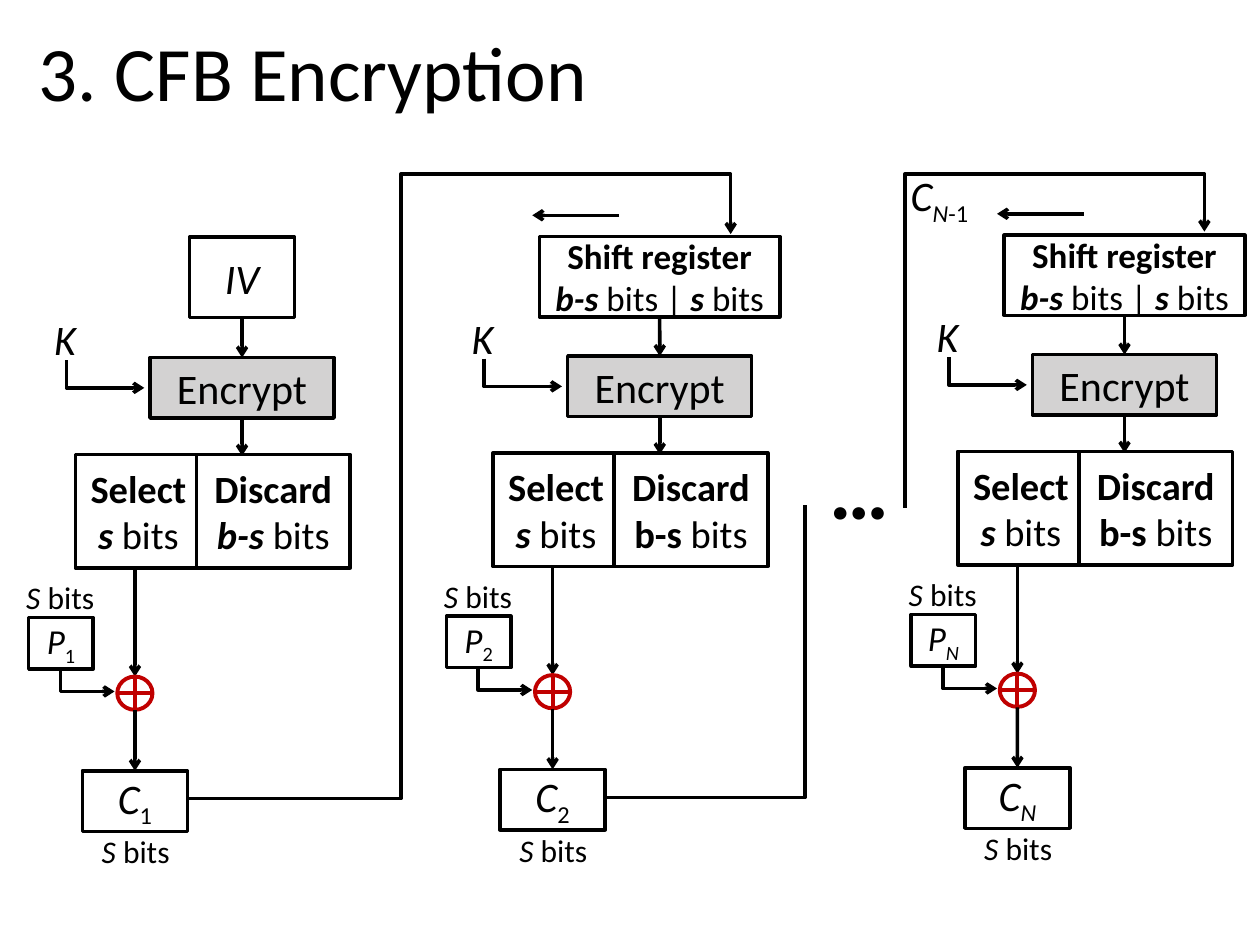
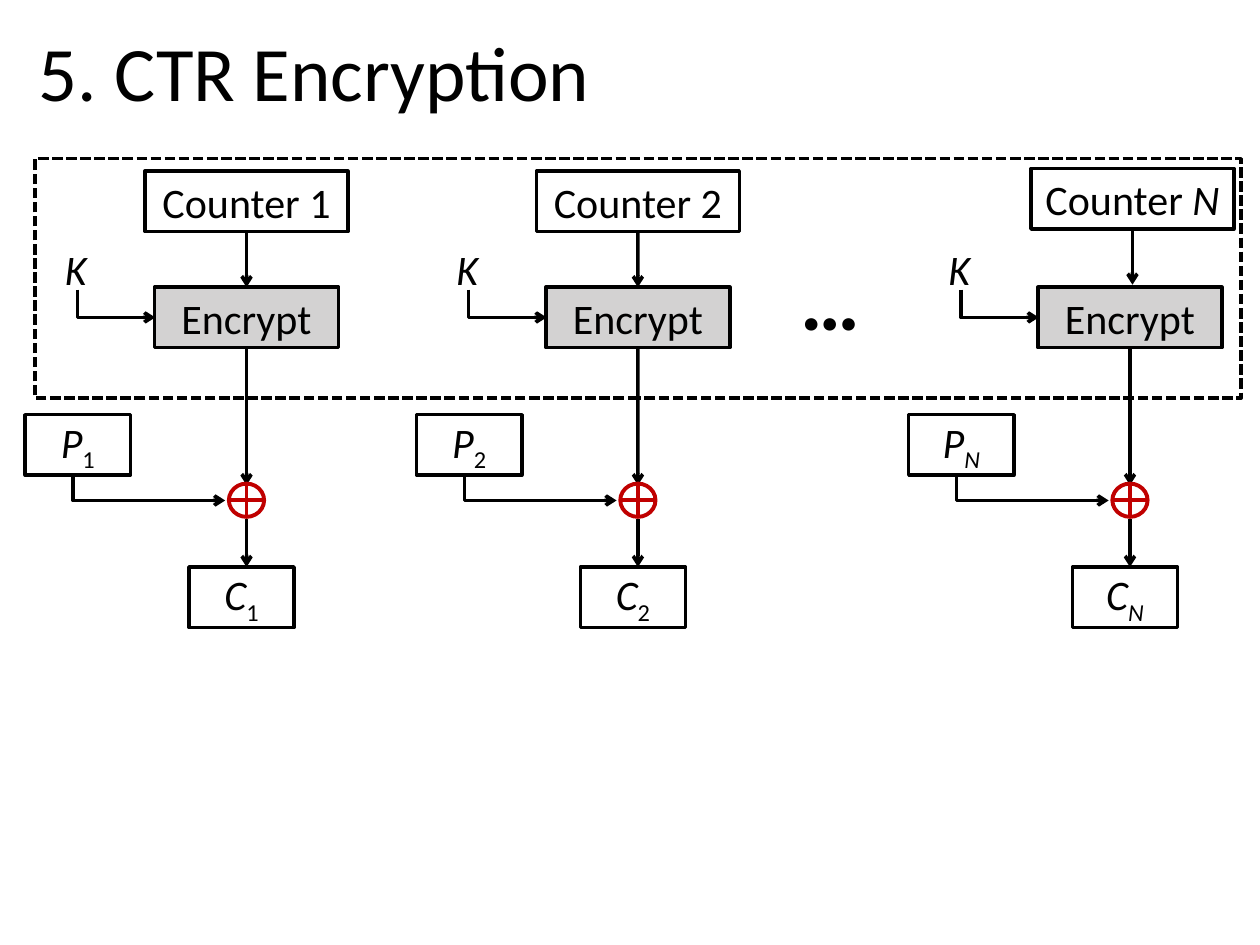
from dataclasses import dataclass
from typing import NamedTuple, Optional

from lxml.etree import SubElement
from pptx import Presentation
from pptx.dml.color import RGBColor
from pptx.enum.dml import MSO_LINE_DASH_STYLE as Dash
from pptx.enum.shapes import MSO_CONNECTOR as Link, MSO_SHAPE as Preset
from pptx.enum.text import MSO_ANCHOR as Anchor, MSO_AUTO_SIZE as Fit, PP_ALIGN as Align
from pptx.oxml.ns import qn
from pptx.util import Cm, Pt


@dataclass(frozen=True)
class Theme:
    font: str = "Calibri"
    ink: RGBColor = RGBColor(0, 0, 0)
    paper: RGBColor = RGBColor(255, 255, 255)
    cipher: RGBColor = RGBColor(0xD3, 0xD2, 0xD2)
    xor: RGBColor = RGBColor(0xC0, 0, 0)
    line: float = 2
    xor_line: float = 2.25
    title: int = 44
    dots: int = 48
    large: int = 24
    half: int = 22
    medium: int = 20
    small: int = 18


THEME = Theme()


class Span(NamedTuple):
    text: str
    bold: bool = False
    italic: bool = False
    sub: bool = False


class Point(NamedTuple):
    x: float
    y: float


class Area(NamedTuple):
    """A rectangle in centimetres."""
    x: float
    y: float
    width: float
    height: float

    def lengths(self) -> list:
        return [Cm(value) for value in self]


@dataclass(frozen=True)
class Stage:
    """One block of the cipher, moved from the first one by dx and dy."""
    index: str
    dx: float
    dy: float = 0

    def at(self, x: float, y: float) -> Point:
        return Point(x + self.dx, y + self.dy)

    def area(self, x: float, y: float, width: float, height: float) -> Area:
        return Area(*self.at(x, y), width, height)

    def centred(self, middle: float, y: float, width: float, height: float) -> Area:
        return self.area(middle - width / 2, y, width, height)

    def symbol(self, letter: str) -> list[Span]:
        return indexed(letter, self.index)


def indexed(letter: str, index: str) -> list[Span]:
    return [Span(letter, italic=True), Span(index, italic=index == "N", sub=True)]


# Formatting
def apply(target, **values) -> None:
    for name, value in values.items():
        setattr(target, name, value)


def write(frame, spans: list[Span], size: int, align=Align.LEFT) -> None:
    para = frame.paragraphs[0]
    para.alignment = align
    for part in spans:
        span = para.add_run()
        span.text = part.text
        apply(span.font, name=THEME.font, size=Pt(size), bold=part.bold, italic=part.italic)
        span.font.color.rgb = THEME.ink
        if part.sub:
            span.font._element.set("baseline", "-25000")


def outline(shape, color: RGBColor = THEME.ink, width: float = THEME.line) -> None:
    shape.line.color.rgb = color
    shape.line.width = Pt(width)


def add_head(shape) -> None:
    line = shape.line._get_or_add_ln()
    SubElement(line, qn("a:tailEnd"), type="arrow")


# Drawing parts
def add_box(page, area: Area, spans: list[Span], size: int = THEME.large,
            fill: Optional[RGBColor] = THEME.paper):
    box = page.shapes.add_shape(Preset.RECTANGLE, *area.lengths())
    box.shadow.inherit = False
    outline(box)
    if fill is None:
        box.fill.background()
    else:
        box.fill.solid()
        box.fill.fore_color.rgb = fill
    apply(box.text_frame, word_wrap=True, vertical_anchor=Anchor.MIDDLE)
    write(box.text_frame, spans, size, Align.CENTER)
    return box


def add_label(page, area: Area, spans: list[Span], size: int) -> None:
    box = page.shapes.add_textbox(*area.lengths())
    apply(box.text_frame, word_wrap=False, auto_size=Fit.SHAPE_TO_FIT_TEXT)
    write(box.text_frame, spans, size)


def add_xor(page, area: Area) -> None:
    xor = page.shapes.add_shape(Preset.FLOWCHART_OR, *area.lengths())
    xor.shadow.inherit = False
    xor.fill.solid()
    xor.fill.fore_color.rgb = THEME.paper
    outline(xor, THEME.xor, THEME.xor_line)


def add_arrow(page, start: Point, end: Point, source=None, target=None) -> None:
    """Draw an arrow, joined to the bottom of source and the top of target."""
    arrow = page.shapes.add_connector(Link.STRAIGHT, *(Cm(v) for v in (*start, *end)))
    outline(arrow)
    add_head(arrow)
    SubElement(arrow._element.spPr, qn("a:effectLst"))
    if source is not None:
        arrow.begin_connect(source, 2)
    if target is not None:
        arrow.end_connect(target, 0)


def add_bend(page, points: list[Point], head: bool = True) -> None:
    first, *rest = [(Cm(point.x), Cm(point.y)) for point in points]
    builder = page.shapes.build_freeform(*first)
    builder.add_line_segments(rest, close=False)
    bend = builder.convert_to_shape()
    bend.shadow.inherit = False
    bend.fill.background()
    outline(bend)
    if head:
        add_head(bend)


def add_elbow(page, start: Point, right: float, down: float) -> None:
    low = start.y + down
    add_bend(page, [start, Point(start.x, low), Point(start.x + right, low)])


def add_key(page, corner: Point) -> None:
    add_elbow(page, Point(corner.x + 0.5, corner.y + 1.06), 1.57, 0.56)
    add_label(page, Area(*corner, 0.99, 1.27), [Span("K", italic=True)], THEME.large)


def add_dots(page, x: float, y: float) -> None:
    add_label(page, Area(x, y, 1.8, 2.31), [Span("…", bold=True)], THEME.dots)


def add_page(deck, title: str):
    page = deck.slides.add_slide(deck.slide_layouts[5])
    box = page.shapes.title
    apply(box, **dict(zip(("left", "top", "width", "height"),
                          Area(0.53, 0.3, 24.33, 2.24).lengths())))
    apply(box.text_frame, word_wrap=True, vertical_anchor=Anchor.MIDDLE)
    write(box.text_frame, [Span(title)], THEME.title)
    return page


# CFB: every stage feeds its cipher text into the next shift register
BITS = Span(" bits")
S_BITS = [Span("S ", italic=True), Span("bits")]
SHIFT = [Span("Shift register ", True), Span("b-s", True, True), Span(" bits | "),
         Span("s", True, True), BITS]


def draw_cfb_stage(page, stage: Stage) -> None:
    spine, out = 4.88, 2.72
    first = stage.dx == 0

    # Input and cipher
    if first:
        source = add_box(page, stage.centred(spine, 4.78, 2.12, 1.62), [Span("IV", italic=True)])
    else:
        source = add_box(page, stage.centred(spine, 4.8, 4.85, 1.62), SHIFT, THEME.medium)
        add_arrow(page, stage.at(4.06, 4.37), stage.at(2.31, 4.37))
    encrypt = add_box(page, stage.centred(spine, 7.21, 3.71, 1.22), [Span("Encrypt")],
                      fill=THEME.cipher)
    add_arrow(page, stage.at(spine, 6.4), stage.at(spine, 7.21), source, encrypt)
    add_key(page, stage.at(0.84, 6.2))

    # Selected and discarded bits
    add_box(page, stage.area(1.52, 9.16, 2.54, 2.29),
            [Span("Select ", True), Span("s", True, True), BITS], THEME.half)
    add_box(page, stage.area(3.96, 9.16, 3.1, 2.29),
            [Span("Discard ", True), Span("b-s", True, first), BITS], THEME.half)
    add_arrow(page, stage.at(spine, 8.43), stage.at(spine, 9.19), encrypt)

    # Plain text, XOR and cipher text
    add_arrow(page, stage.at(out, 11.48), stage.at(out, 13.64))
    add_box(page, stage.area(0.58, 12.45, 1.3, 1.04), stage.symbol("P"), THEME.medium)
    add_elbow(page, stage.at(1.22, 13.47), 1.09, 0.47)
    add_label(page, stage.area(0.28, 11.53, 1.91, 1.02), S_BITS, THEME.small)
    add_xor(page, stage.centred(out, 13.64, 0.71, 0.67))
    result = add_box(page, stage.centred(out, 15.54, 2.12, 1.22), stage.symbol("C"))
    add_arrow(page, stage.at(out, 14.32), stage.at(out, 15.54), target=result)
    add_label(page, stage.area(1.8, 16.65, 1.91, 1.02), S_BITS, THEME.small)


def draw_cfb(deck) -> None:
    page = add_page(deck, "3. CFB Encryption")
    for stage in (Stage("1", 0), Stage("2", 8.42, -0.03), Stage("N", 17.79, -0.06)):
        draw_cfb_stage(page, stage)

    # Feedback paths
    top = 3.51
    add_bend(page, [Point(3.77, 16.1), Point(8.08, 16.1), Point(8.08, top),
                    Point(14.73, top), Point(14.73, 4.72)])
    add_bend(page, [Point(12.2, 16.08), Point(16.23, 16.08), Point(16.23, 10.19)], head=False)
    add_bend(page, [Point(18.24, 10.24), Point(18.24, top), Point(24.28, top),
                    Point(24.28, 4.67)])
    add_dots(page, 16.48, 8.66)
    add_label(page, Area(18.11, 3.3, 1.8, 1.27),
              [*indexed("C", "N"), Span("-1", sub=True)], THEME.large)


# CTR: every stage encrypts its own counter
def draw_ctr_stage(page, stage: Stage) -> None:
    spine = 4.97
    last = stage.index == "N"
    nudge = 0.05 if last else 0

    # Counter and cipher
    counter = add_box(page, stage.centred(spine + nudge, 3.45 - nudge, 4.09, 1.22),
                      [Span("Counter "), Span(stage.index, italic=last)])
    encrypt = add_box(page, stage.centred(spine, 5.79, 3.71, 1.22), [Span("Encrypt")],
                      fill=THEME.cipher)
    add_arrow(page, stage.at(spine + nudge, 4.67), stage.at(spine + nudge, 5.79 - nudge),
              counter, None if last else encrypt)
    add_key(page, stage.at(1.06, 4.78))

    # Plain text, XOR and cipher text
    add_arrow(page, stage.at(spine, 7.01), stage.at(spine, 9.78), encrypt)
    add_box(page, stage.area(0.51, 8.36, 2.12, 1.22), stage.symbol("P"))
    add_elbow(page, stage.at(1.47, 9.58), 3.07, 0.51)
    add_xor(page, stage.centred(spine, 9.75, 0.71, 0.67))
    add_box(page, stage.area(3.81, 11.43, 2.12, 1.22), stage.symbol("C"))
    add_arrow(page, stage.at(spine, 10.46), stage.at(spine, 11.43))


def draw_ctr(deck) -> None:
    page = add_page(deck, "5. CTR Encryption")
    for stage in (Stage("1", 0), Stage("2", 7.89), Stage("N", 17.81)):
        draw_ctr_stage(page, stage)
    add_dots(page, 15.88, 4.85)
    keystream = add_box(page, Area(0.71, 3.2, 24.31, 4.83), [], fill=None)
    keystream.line.dash_style = Dash.SQUARE_DOT


def main() -> None:
    deck = Presentation()
    apply(deck, slide_width=Cm(25.4), slide_height=Cm(19.05))
    draw_cfb(deck)
    draw_ctr(deck)
    deck.save("out.pptx")


if __name__ == "__main__":
    main()
